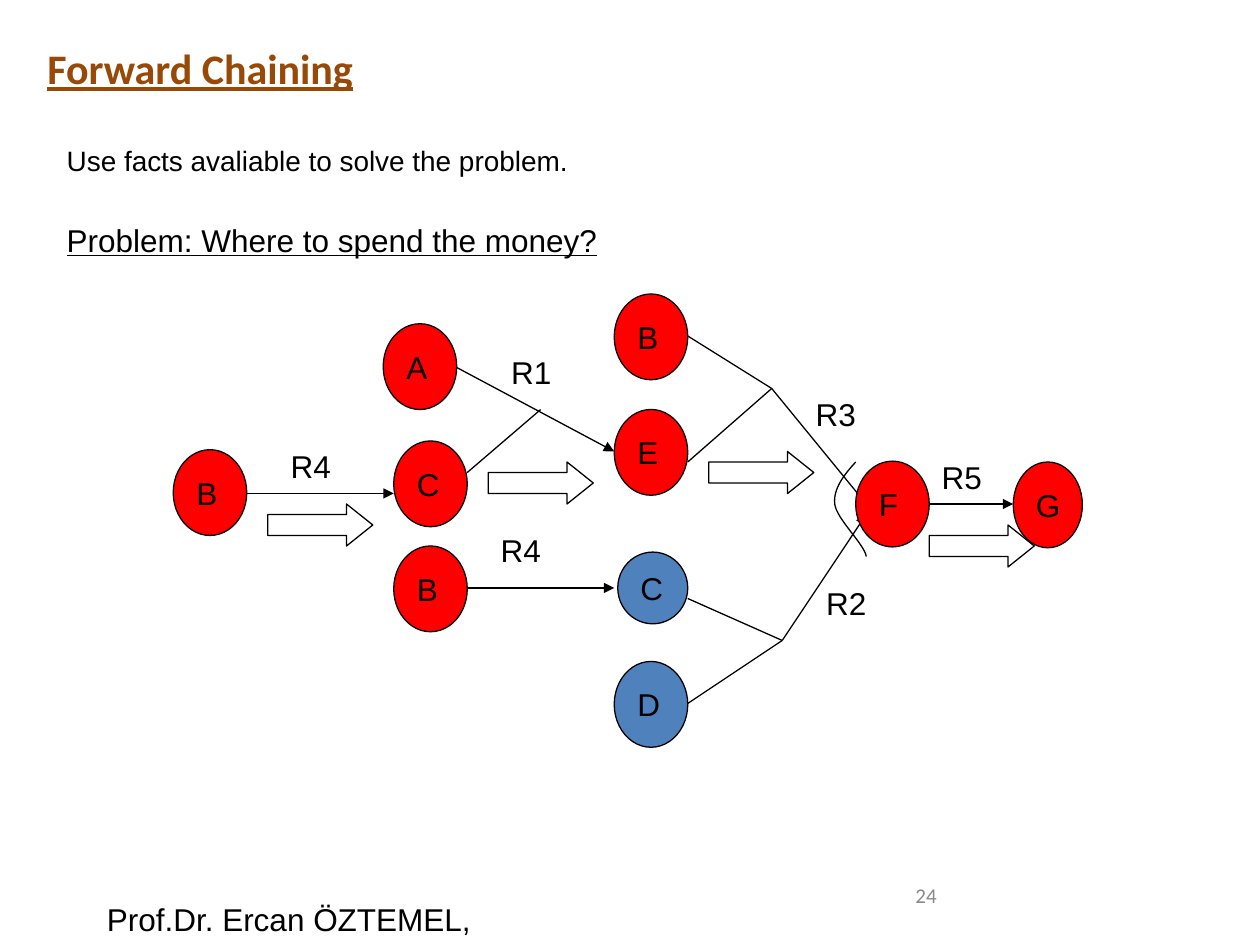
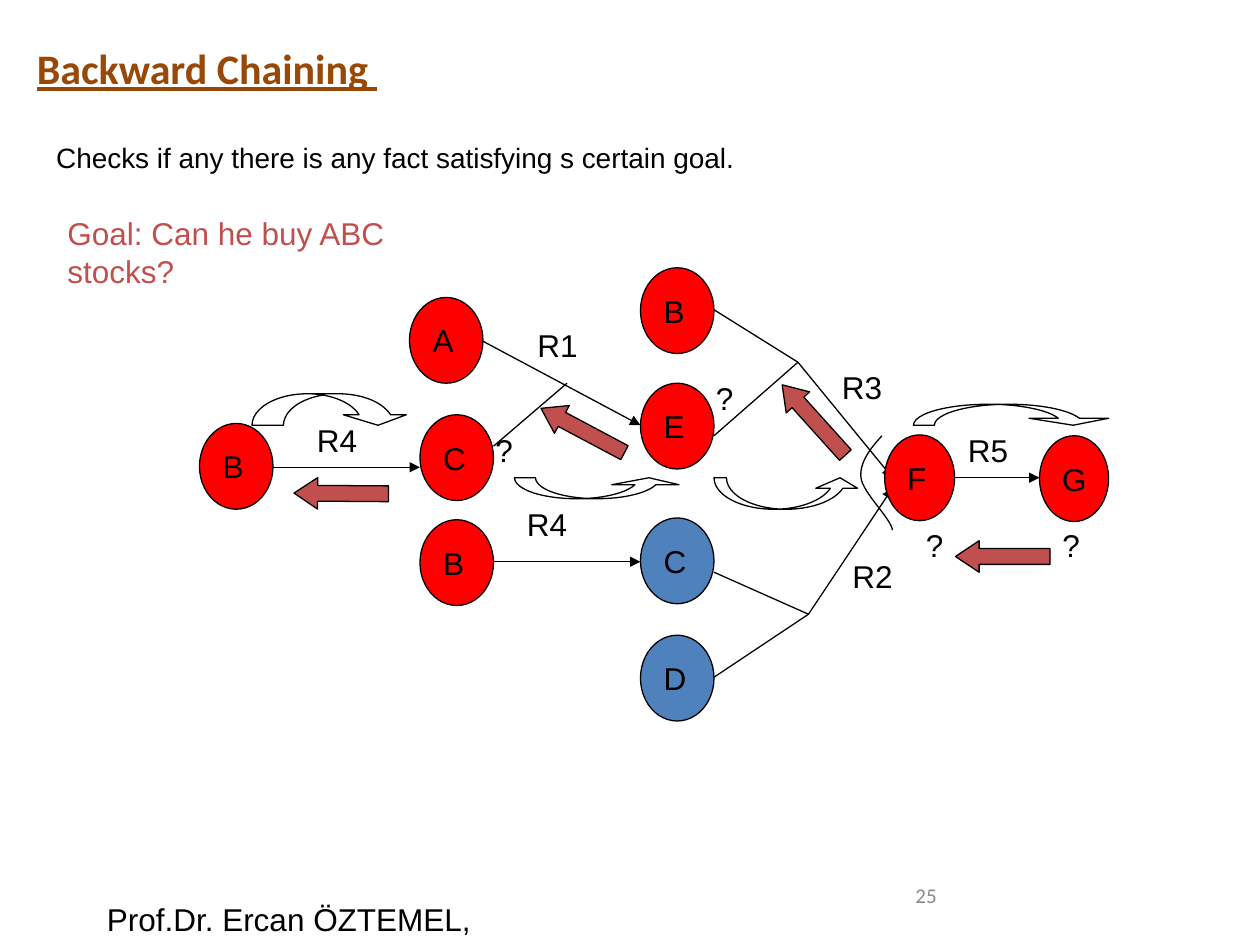
from lxml import etree
from pptx import Presentation
from pptx.dml.color import RGBColor
from pptx.enum.shapes import MSO_CONNECTOR, MSO_SHAPE
from pptx.enum.text import MSO_ANCHOR, PP_ALIGN
from pptx.oxml.ns import qn
from pptx.util import Pt

STRAIGHT = MSO_CONNECTOR.STRAIGHT
ELLIPSE = MSO_SHAPE.OVAL
RIGHT_ARROW = MSO_SHAPE.RIGHT_ARROW
LEFT_ARROW = MSO_SHAPE.LEFT_ARROW
CURVED_DOWN = MSO_SHAPE.CURVED_DOWN_ARROW
CURVED_UP = MSO_SHAPE.CURVED_UP_ARROW
TOP, MIDDLE, BOTTOM = MSO_ANCHOR.TOP, MSO_ANCHOR.MIDDLE, MSO_ANCHOR.BOTTOM
LEFT = PP_ALIGN.LEFT

COLORS = {
    "ink": "000000",
    "title": "984807",
    "page": "898989",
    "known": "FF0000",
    "unknown": "4F81BD",
    "goal": "C0504D",
}

NODES = [
    ("B", "known", 351, 168, 42, 49),
    ("D", "unknown", 351, 378, 42, 49),
    ("A", "known", 219, 185, 42, 49),
    ("B", "known", 99, 257, 42, 49),
    ("B", "known", 225, 312, 42, 49),
    ("C", "known", 225, 252, 42, 49),
    ("E", "known", 351, 234, 42, 49),
    ("G", "known", 579, 264, 39.5, 49),
]
RULE_ARROWS = [
    (525, 288, 579, 288),
    (447, 366, 495, 294),
    (441, 222, 495, 288),
    (261, 210, 351, 258),
    (141, 282, 225, 282),
    (267, 336, 351, 336),
]
RULE_BRANCHES = [
    (447, 366, 393, 342),
    (447, 366, 393, 402),
    (441, 222, 393, 192),
    (441, 222, 393, 264),
    (267, 270, 309, 234),
]
RULE_LABELS = [
    ("R5", 531, 258),
    ("R1", 285, 198),
    ("R2", 465, 330),
    ("R3", 459, 222),
    ("R4", 279, 300),
    ("R4", 159, 252),
]
OR_ARC = [
    [(489, 264), (482.4, 271.2), (476, 279.4), (477, 288)],
    [(477, 288), (478, 296.6), (494, 311), (495, 318)],
]
ARC_STEPS = 16

FORWARD_STEPS = [(153, 288), (279, 264), (405, 258), (531, 300)]
BACKWARD_STEPS = [(546, 309, 0), (438, 231, 48), (306, 237, 28), (168, 273, 0.4)]
RETURN_STEPS = [
    (CURVED_DOWN, 144, 225, 90, 18, (1, 2, 0.333)),
    (CURVED_UP, 294, 273, 96, 12, (1.6, 3.2, 0.333)),
    (CURVED_UP, 408, 273, 84, 18, (0.396, 1.326, 0.333)),
    (CURVED_DOWN, 522, 231, 114, 12, (1.9, 3.8, 0.333)),
]
QUESTIONS = [(600, 297), (522, 297), (402, 213), (276, 243)]


def rgb(name):
    return RGBColor.from_string(COLORS[name])


def write(frame, text, size=18, color="ink", font="Arial", bold=False,
          underline=False, spacing=None, anchor=TOP):
    frame.text = text
    frame.word_wrap = True
    frame.vertical_anchor = anchor
    paragraph = frame.paragraphs[0]
    paragraph.alignment = LEFT
    if spacing:
        paragraph.line_spacing = spacing
    style = paragraph.runs[0].font
    style.name, style.size = font, Pt(size)
    style.bold, style.underline = bold, underline
    style.color.rgb = rgb(color)


def add_text(slide, text, x, y, width, height, **style):
    box = slide.shapes.add_textbox(Pt(x), Pt(y), Pt(width), Pt(height))
    write(box.text_frame, text, **style)


def outline(shape, fill=None):
    shape.shadow.inherit = False
    shape.line.color.rgb = rgb("ink")
    shape.line.width = Pt(0.75)
    if fill:
        shape.fill.solid()
        shape.fill.fore_color.rgb = rgb(fill)
    else:
        shape.fill.background()


def add_node(slide, text, fill, x, y, width, height):
    node = slide.shapes.add_shape(ELLIPSE, Pt(x), Pt(y), Pt(width), Pt(height))
    outline(node, fill)
    write(node.text_frame, text, anchor=MIDDLE)


def add_step(slide, kind, x, y, width, height, adjustments, fill=None, rotation=0):
    step = slide.shapes.add_shape(kind, Pt(x), Pt(y), Pt(width), Pt(height))
    for index, value in enumerate(adjustments):
        step.adjustments[index] = value
    step.rotation = rotation
    outline(step, fill)


def add_line(slide, x1, y1, x2, y2, arrow=False):
    line = slide.shapes.add_connector(STRAIGHT, Pt(x1), Pt(y1), Pt(x2), Pt(y2))
    line.line.color.rgb = rgb("ink")
    line.line.width = Pt(0.75)
    if arrow:
        etree.SubElement(line.line._get_or_add_ln(), qn("a:tailEnd"), type="triangle")
    etree.SubElement(line._element.spPr, qn("a:effectLst"))


def bezier_point(curve, t):
    weights = ((1 - t) ** 3, 3 * t * (1 - t) ** 2, 3 * t * t * (1 - t), t ** 3)
    return tuple(sum(w * point[axis] for w, point in zip(weights, curve))
                 for axis in (0, 1))


def add_arc(slide, curves, dx, dy):
    points = [(Pt(x + dx), Pt(y + dy)) for x, y in
              (bezier_point(curve, step / ARC_STEPS)
               for curve in curves for step in range(ARC_STEPS + 1))]
    builder = slide.shapes.build_freeform(*points[0], scale=1.0)
    builder.add_line_segments(points[1:], close=False)
    outline(builder.convert_to_shape())


def add_rule_graph(slide, own_nodes, dx=0, dy=0):
    for lines, arrow in ((RULE_ARROWS, True), (RULE_BRANCHES, False)):
        for x1, y1, x2, y2 in lines:
            add_line(slide, x1 + dx, y1 + dy, x2 + dx, y2 + dy, arrow)
    add_arc(slide, OR_ARC, dx, dy)
    for text, fill, x, y, width, height in NODES + own_nodes:
        add_node(slide, text, fill, x + dx, y + dy, width, height)
    for text, x, y in RULE_LABELS:
        add_text(slide, text, x + dx, y + dy, 42.5, 36)


def start_slide(deck, title, title_x, title_width, page):
    slide = deck.slides.add_slide(deck.slide_layouts[6])
    add_text(slide, "Prof.Dr. Ercan ÖZTEMEL,", 54, 511, 230, 29)
    add_text(slide, page, 516, 500.5, 168, 29, size=12, font="Calibri", color="page")
    add_text(slide, title, title_x, 21, title_width, 36, size=24, font="Calibri",
             color="title", bold=True, underline=True)
    return slide


def add_summary(slide, text, x, y, height):
    add_text(slide, text, x, y, 636, height, size=16, spacing=0.6, anchor=BOTTOM)


def add_forward_slide(deck):
    slide = start_slide(deck, "Forward Chaining", 20, 194, "24")
    add_summary(slide, "Use facts avaliable to solve the problem.", 31, 77, 27)
    add_rule_graph(slide, [("C", "unknown", 353, 315.5, 40, 41),
                           ("F", "known", 489, 263.5, 42, 49)])
    for x, y in FORWARD_STEPS:
        add_step(slide, RIGHT_ARROW, x, y, 60, 24, (0.5, 0.625))
    add_text(slide, "Problem: Where to spend the money?", 31, 122.5, 331, 29,
             underline=True)


def add_backward_slide(deck):
    slide = start_slide(deck, "Backward Chaining ", 14, 214, "25")
    add_summary(slide, "Checks if any there is any fact satisfying s certain goal.",
                25, 83, 19)
    add_rule_graph(slide, [("C", "unknown", 351, 311, 42, 49),
                           ("F", "known", 490.5, 263.5, 40, 49)], dx=15, dy=-15)
    for x, y, rotation in BACKWARD_STEPS:
        add_step(slide, LEFT_ARROW, x, y, 54, 18, (0.5, 0.75), "goal", rotation)
    for x, y in QUESTIONS:
        add_text(slide, "?", x, y, 24, 36)
    for step in RETURN_STEPS:
        add_step(slide, *step)
    add_text(slide, "Goal: Can he buy ABC stocks?", 31.5, 119, 260, 29, color="goal")


def main():
    deck = Presentation()
    deck.slide_width, deck.slide_height = Pt(720), Pt(540)
    add_forward_slide(deck)
    add_backward_slide(deck)
    deck.save("out.pptx")


if __name__ == "__main__":
    main()
